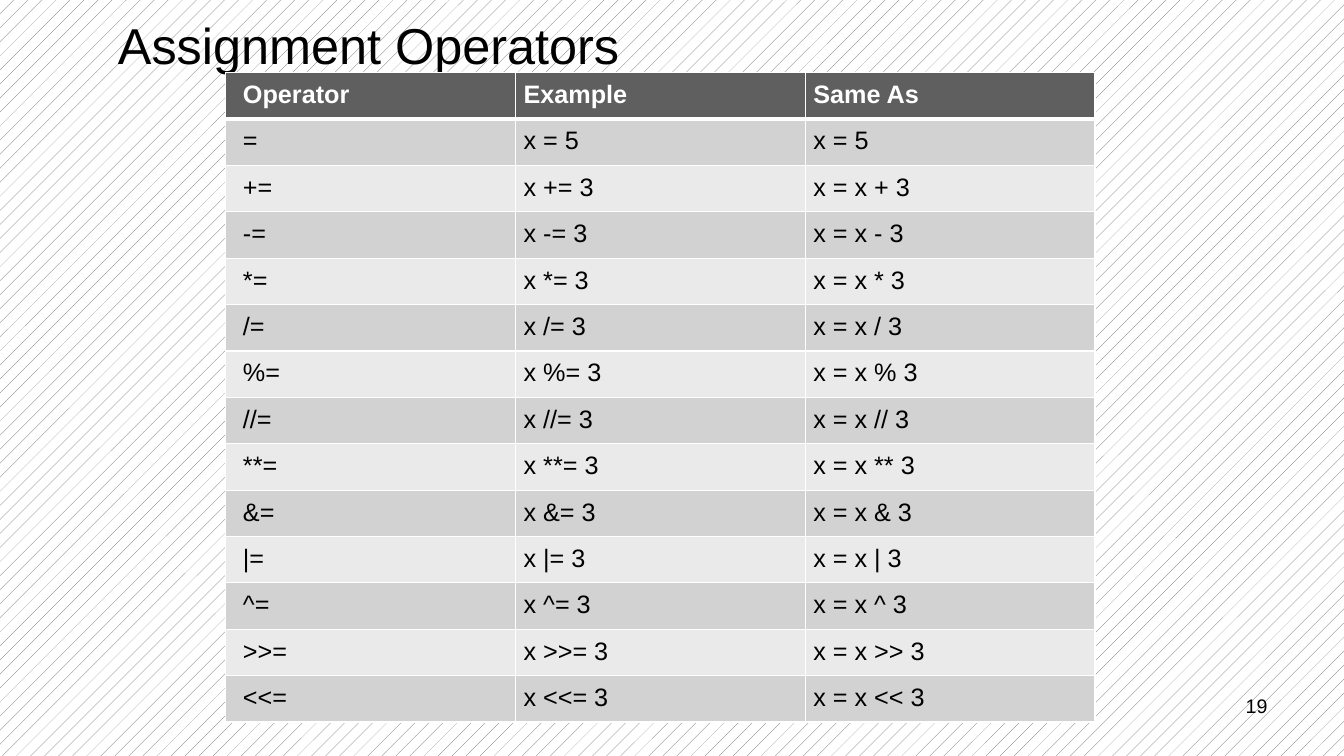
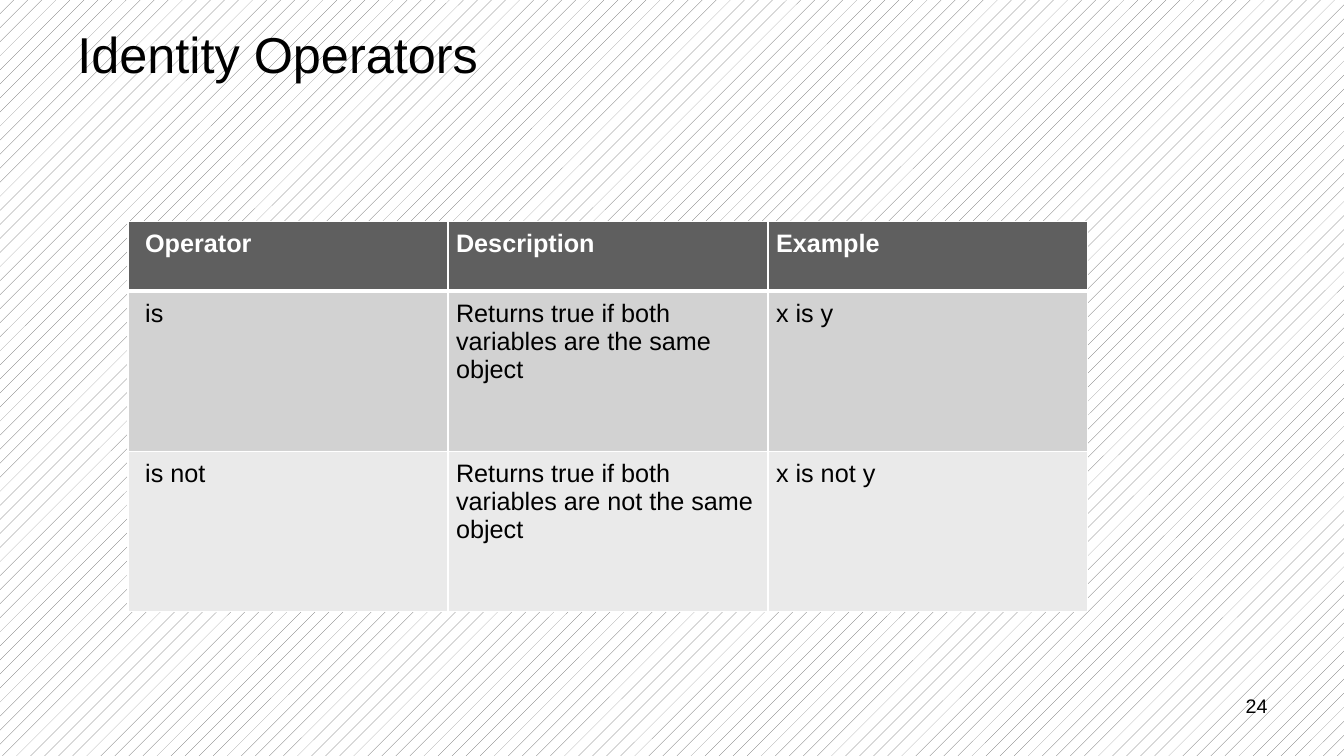
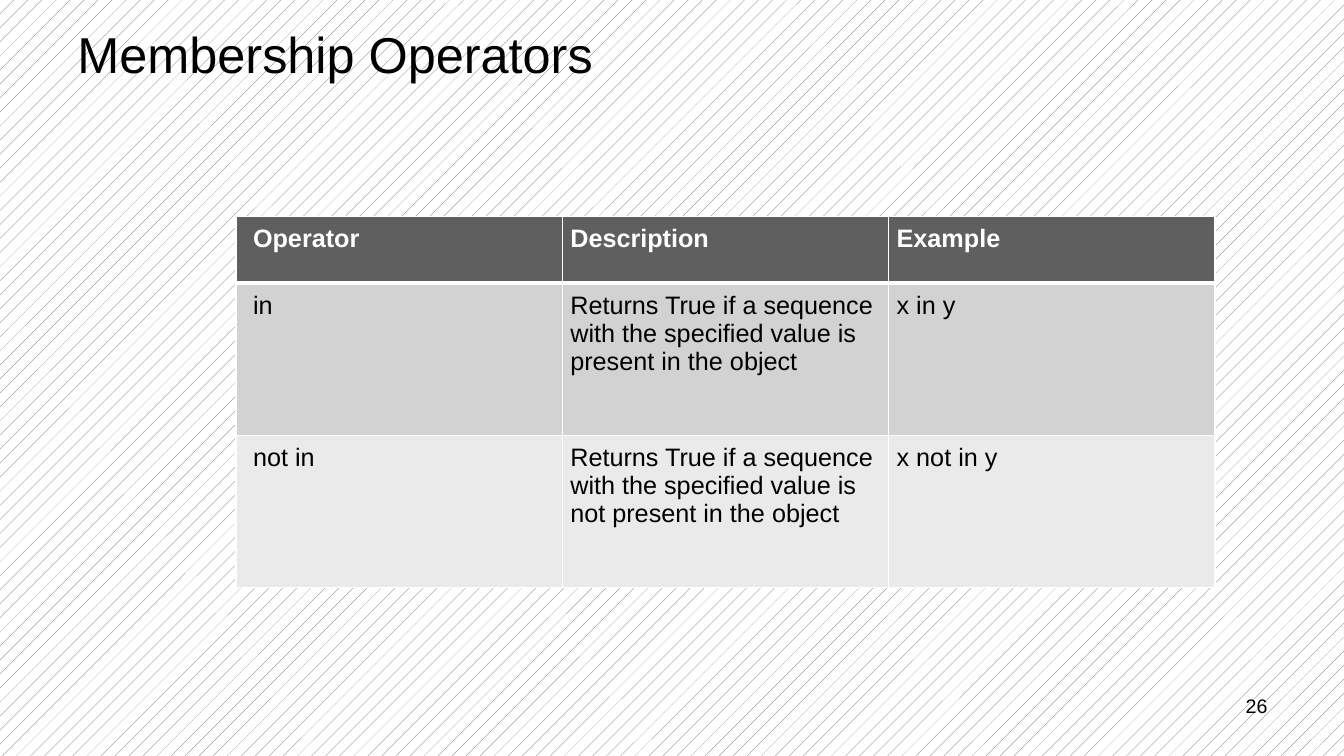
"""Build three slides of Python operator tables."""
from dataclasses import dataclass

from pptx import Presentation, util as u
from pptx.dml.color import RGBColor
from pptx.enum import dml, text
from pptx.oxml import parse_xml
from pptx.oxml.ns import nsdecls


@dataclass(frozen=True)
class Theme:
    """Colours, type sizes and line widths shared by the slides."""
    font: str = "Arial"
    ink: str = "000000"
    white: str = "FFFFFF"
    grey: str = "5F5F5F"
    bands: tuple = ("EAEAEA", "D2D2D2")
    title_size: int = 36
    table_size: int = 18
    number_size: int = 14
    rule: int = 1
    header_rule: int = 3


THEME = Theme()
TITLE_BOX = (0.67, 0.21, 12, 0.64)
NUMBER_BOX = (9.56, 6.83, 3.11, 0.52)
SYMBOLS = ("+", "-", "*", "/", "%", "//", "**", "&", "|", "^", ">>", "<<")


def set_format(target, values):
    """Set each attribute of target from a dict."""
    for name, value in values.items():
        setattr(target, name, value)


def write(frame, words, size, color=THEME.ink, bold=False, align=text.PP_ALIGN.LEFT):
    """Write one formatted paragraph into a text frame."""
    para = frame.paragraphs[0]
    para.alignment = align
    span = para.add_run()
    span.text = words
    set_format(span.font, {"name": THEME.font, "size": u.Pt(size), "bold": bold})
    span.font.color.rgb = RGBColor.from_string(color)


def add_text(page, place, words, size, frame_format=None, **style):
    """Add a wrapping text box."""
    box = page.shapes.add_textbox(*map(u.Inches, place))
    set_format(box.text_frame, {"word_wrap": True, **(frame_format or {})})
    write(box.text_frame, words, size, **style)


def add_page(deck, title, number, title_box=TITLE_BOX, title_margins=None):
    """Add a page with the hatched background, a title and a page number."""
    page = deck.slides.add_slide(deck.slide_layouts[6])
    fill = page.background.fill
    fill.patterned()
    fill.pattern = dml.MSO_PATTERN.PERCENT_5
    fill.fore_color.rgb = RGBColor.from_string(THEME.grey)
    fill.back_color.rgb = RGBColor.from_string(THEME.white)
    add_text(page, title_box, title, THEME.title_size,
             {"vertical_anchor": text.MSO_ANCHOR.MIDDLE, **(title_margins or {})})
    add_text(page, NUMBER_BOX, str(number), THEME.number_size,
             align=text.PP_ALIGN.RIGHT)
    return page


def set_borders(cell, row):
    """Draw white cell borders, heavier between the header and the body."""
    widths = {
        "L": THEME.rule,
        "R": THEME.rule,
        "T": THEME.header_rule if row == 1 else THEME.rule,
        "B": THEME.header_rule if row == 0 else THEME.rule,
    }
    properties = cell._tc.get_or_add_tcPr()
    for side, width in widths.items():
        properties.append(parse_xml(
            f'<a:ln{side} {nsdecls("a")} w="{u.Pt(width)}"><a:solidFill>'
            f'<a:srgbClr val="{THEME.white}"/></a:solidFill></a:ln{side}>'))


def fill_cell(cell, words, row, column):
    """Format one table cell and write its text."""
    header = row == 0
    margins = {f"margin_{side}": u.Inches(0.08) for side in ("top", "right", "bottom")}
    set_format(cell, {**margins, "margin_left": u.Inches(0.08 if column else 0.17)})
    set_borders(cell, row)
    cell.fill.solid()
    cell.fill.fore_color.rgb = RGBColor.from_string(
        THEME.grey if header else THEME.bands[row % 2])
    write(cell.text_frame, words, THEME.table_size,
          THEME.white if header else THEME.ink, bold=header)


def add_table(page, left, top, width, header_height, row_height, rows):
    """Add a banded table with equal columns."""
    heights = [header_height] + [row_height] * (len(rows) - 1)
    place = map(u.Inches, (left, top, width, sum(heights)))
    table = page.shapes.add_table(len(rows), len(rows[0]), *place).table
    for row, (height, entries) in enumerate(zip(heights, rows)):
        table.rows[row].height = u.Inches(height)
        for column, words in enumerate(entries):
            fill_cell(table.cell(row, column), words, row, column)


def main():
    """Build and save the deck."""
    deck = Presentation()
    set_format(deck, {"slide_width": u.Inches(13.33), "slide_height": u.Inches(7.5)})

    page = add_page(deck, "Assignment Operators", 19, (0.93, 0, 11.5, 1.45),
                    {"margin_left": u.Inches(0.24), "margin_bottom": u.Inches(0.62)})
    assignments = [(f"{symbol}=", f"x {symbol}= 3", f"x = x {symbol} 3")
                   for symbol in SYMBOLS]
    add_table(page, 2.24, 0.72, 8.62, 0.41, 0.41, [
        ("Operator", "Example", "Same As"), ("=", "x = 5", "x = 5"), *assignments])

    header = ("Operator", "Description", "Example")
    page = add_page(deck, "Identity Operators", 24)
    add_table(page, 1.27, 2.2, 9.52, 0.69, 1.59, [
        header,
        ("is", "Returns true if both variables are the same object", "x is y"),
        ("is not", "Returns true if both variables are not the same object",
         "x is not y")])

    page = add_page(deck, "Membership Operators", 26)
    add_table(page, 2.34, 2.15, 9.71, 0.66, 1.51, [
        header,
        ("in", "Returns True if a sequence with the specified value is present "
         "in the object", "x in y"),
        ("not in", "Returns True if a sequence with the specified value is not "
         "present in the object", "x not in y")])

    deck.save("out.pptx")


if __name__ == "__main__":
    main()
